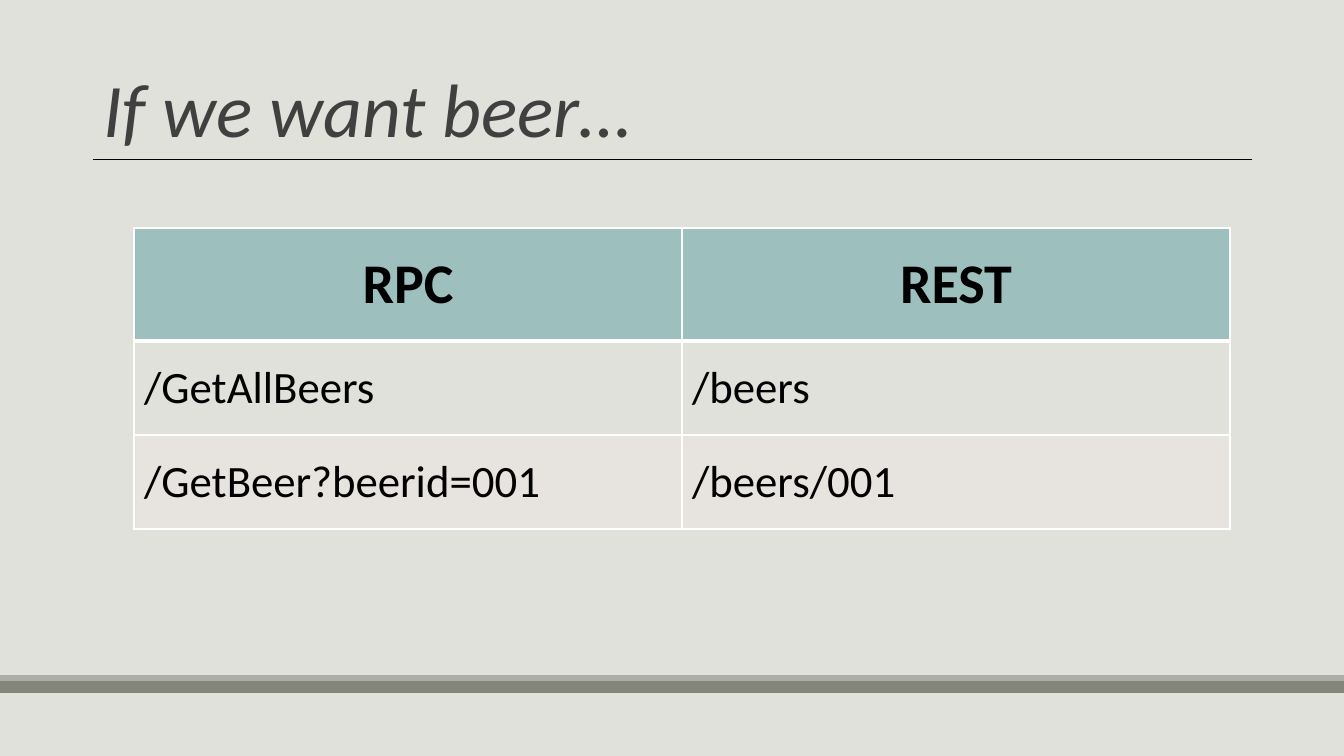
"""Build the slide comparing RPC and REST addresses for beers."""
from lxml.etree import SubElement
from pptx import Presentation
from pptx.dml.color import RGBColor
from pptx.enum.shapes import MSO_CONNECTOR
from pptx.enum.text import MSO_ANCHOR, MSO_AUTO_SIZE, PP_ALIGN
from pptx.oxml.ns import qn
from pptx.util import Emu, Pt

WIDTH, HEIGHT = 1344, 756
SCALE = 12192000 / WIDTH


def px(length):
    return Emu(round(length * SCALE))


def color(value):
    return RGBColor.from_string(value)


presentation = Presentation()
presentation.slide_width = px(WIDTH)
presentation.slide_height = px(HEIGHT)
slide = presentation.slides.add_slide(presentation.slide_layouts[5])
slide.background.fill.solid()
slide.background.fill.fore_color.rgb = color("E1E1DB")

title = slide.shapes.title
title.left, title.top, title.width, title.height = px(93), px(40), px(1159), px(146)
frame = title.text_frame
frame.word_wrap = True
frame.auto_size = MSO_AUTO_SIZE.NONE
frame.vertical_anchor = MSO_ANCHOR.MIDDLE
paragraph = frame.paragraphs[0]
paragraph.alignment = PP_ALIGN.LEFT
paragraph.line_spacing = 0.9
run = paragraph.add_run()
run.text = "If we want beer…"
run.font.name = "Calibri"
run.font.size = Pt(54)
run.font.italic = True
run.font.color.rgb = color("404040")

rows = [
    ("RPC", "REST", 113, "9DBFBE"),
    ("/GetAllBeers", "/beers", 94, "E1E1DB"),
    ("/GetBeer?beerid=001", "/beers/001", 94, "E7E3DE"),
]
table = slide.shapes.add_table(3, 2, px(134), px(228), px(1096), px(301)).table
for column in table.columns:
    column.width = px(548)
for row_index, (rpc, rest, height, fill) in enumerate(rows):
    header = row_index == 0
    table.rows[row_index].height = px(height)
    for column_index, text in enumerate((rpc, rest)):
        cell = table.cell(row_index, column_index)
        cell.vertical_anchor = MSO_ANCHOR.MIDDLE
        paragraph = cell.text_frame.paragraphs[0]
        paragraph.alignment = PP_ALIGN.CENTER if header else PP_ALIGN.LEFT
        run = paragraph.add_run()
        run.text = text
        run.font.name = "Calibri"
        run.font.size = Pt(40 if header else 32)
        run.font.bold = header
        run.font.color.rgb = color("000000")

        borders = {"a:lnL": 1, "a:lnR": 1, "a:lnT": 3 if row_index == 1 else 1, "a:lnB": 3 if header else 1}
        properties = cell._tc.get_or_add_tcPr()
        for tag, points in borders.items():
            border = SubElement(properties, qn(tag), w=str(Pt(points)))
            border_fill = SubElement(border, qn("a:solidFill"))
            SubElement(border_fill, qn("a:srgbClr"), val="FFFFFF")
        cell.fill.solid()
        cell.fill.fore_color.rgb = color(fill)

rules = [
    (0, WIDTH, 679, "ACADA8", 5),
    (0, WIDTH, 687, "84867B", 8.5),
    (93, 1252, 159, "000000", 0.5),
]
for left, right, y, line_color, points in rules:
    rule = slide.shapes.add_connector(MSO_CONNECTOR.STRAIGHT, px(left), px(y), px(right), px(y))
    rule.line.color.rgb = color(line_color)
    rule.line.width = Pt(points)
    SubElement(rule._element.spPr, qn("a:effectLst"))

presentation.save("out.pptx")
